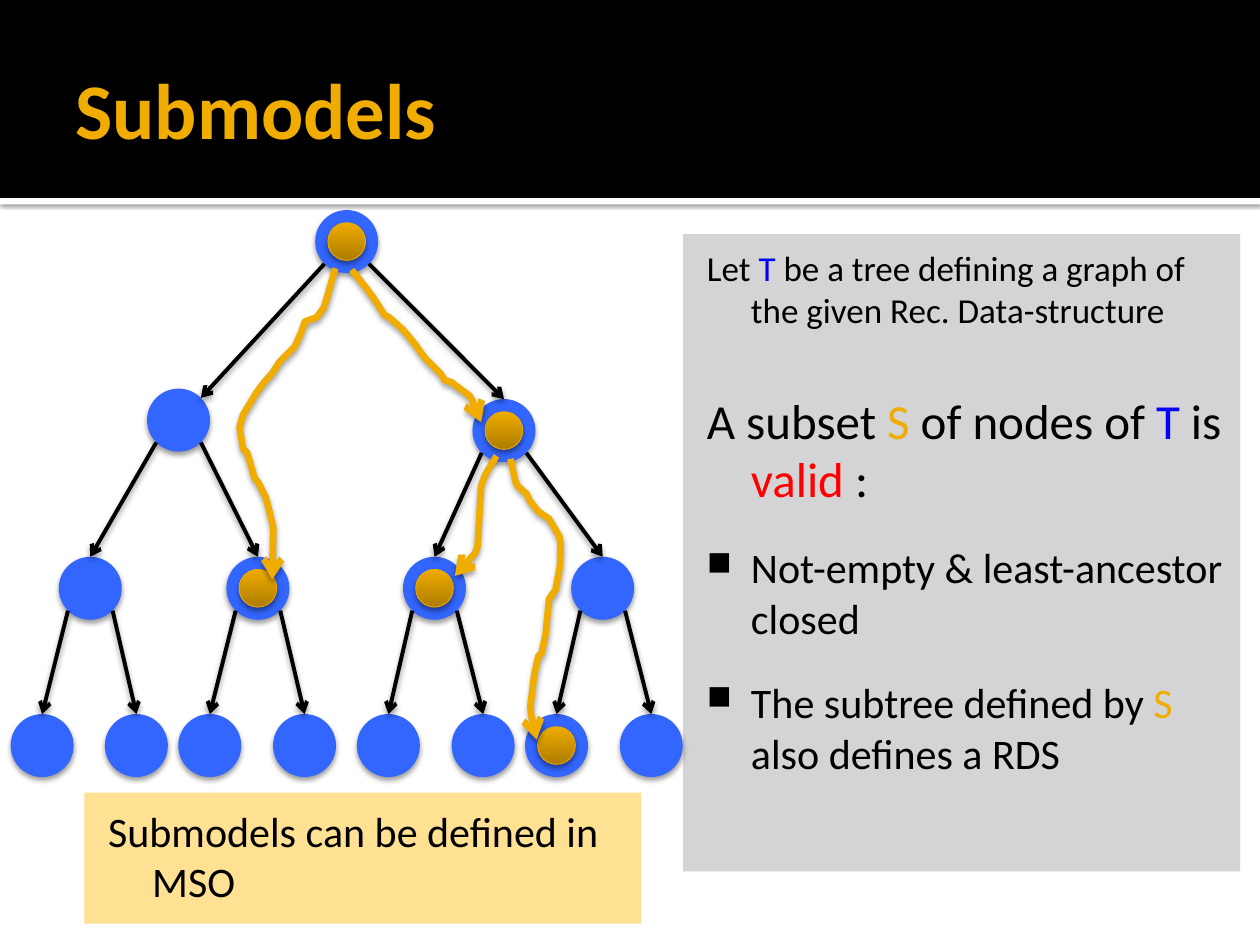
from pptx import Presentation
from pptx.util import Cm, Pt
from pptx.dml.color import RGBColor as RGB
from pptx.enum.shapes import MSO_SHAPE as Shape, MSO_CONNECTOR as Link
from pptx.enum.text import MSO_ANCHOR as Anchor, PP_ALIGN as Align
from pptx.oxml.ns import qn
from lxml.etree import SubElement as Sub

HUE = {"black": "000000", "white": "FFFFFF", "gold": "F0AD00", "blue": "0000FF",
       "red": "FF0000", "node": "3366FF", "grey": "D4D4D6", "cream": "FFE193",
       "dark": "AE7D00", "light": "EEAB00", "rim": "EBA900"}
RGBS = {name: RGB.from_string(code) for name, code in HUE.items()}
FONT = "Calibri"


def shade(item, blur, dist, alpha):
    props = item.element.spPr
    for old in props.findall(qn("a:effectLst")):
        props.remove(old)
    glow = Sub(Sub(props, qn("a:effectLst")), qn("a:outerShdw"), blurRad=str(Pt(blur)),
               dist=str(Pt(dist)), dir="5400000", rotWithShape="0")
    tint = Sub(glow, qn("a:srgbClr"), val=HUE["black"])
    Sub(tint, qn("a:alpha"), val=str(alpha * 1000))


def trace(item, hue, width):
    item.line.color.rgb = RGBS[hue]
    item.line.width = Pt(width)
    Sub(item.element.spPr.find(qn("a:ln")), qn("a:tailEnd"), type="arrow")
    shade(item, 3.5, 2, 38)


deck = Presentation()
deck.slide_width, deck.slide_height = Cm(25.4), Cm(19.05)
slide = deck.slides.add_slide(deck.slide_layouts[5])
shapes = slide.shapes

# Header band and its rule
for hue, top, high in (("white", 3.99, 0.13), ("black", 0, 3.99)):
    band = shapes.add_shape(Shape.RECTANGLE, 0, Cm(top), Cm(25.4), Cm(high))
    band.shadow.inherit = False
    band.fill.solid()
    band.fill.fore_color.rgb = RGBS[hue]
    band.line.fill.background()
    if hue == "white":
        shade(band, 2.5, 0.8, 60)

# Title, in front of the band
title = shapes.title
title.element.getparent().append(title.element)
title.left, title.top, title.width, title.height = Cm(1.27), Cm(0.43), Cm(22.86), Cm(3.48)
frame = title.text_frame
frame.vertical_anchor = Anchor.MIDDLE
frame.margin_left, frame.margin_right = Cm(0.25), Cm(0.13)
para = frame.paragraphs[0]
para.alignment = Align.LEFT
run = para.add_run()
run.text = "Submodels"
run.font.name, run.font.size, run.font.bold = FONT, Pt(45), True
run.font.color.rgb = RGBS["gold"]

# Text panels: place, fill, then (size, space before, bullet, runs)
panels = [
    ((13.77, 4.72, 11.23, 12.85), "grey", [
        (20, 0, False, [("Let ", "black"), ("T ", "blue"),
                        ("be a tree defining a graph of the given Rec. Data-structure", "black")]),
        (28, 34, False, [("A subset ", "black"), ("S ", "gold"), ("of nodes of ", "black"),
                         ("T ", "blue"), ("is ", "black"), ("valid ", "red"), (":", "black")]),
        (24, 19.5, True, [("Not-empty & least-ancestor closed", "black")]),
        (24, 19.5, True, [("The subtree defined by ", "black"), ("S ", "gold"),
                          ("also defines a RDS", "black")])]),
    ((1.7, 15.98, 11.23, 2.64), "cream", [
        (24, 0, False, [("Submodels can be defined in MSO", "black")])]),
]
for place, hue, paras in panels:
    box = shapes.add_textbox(*map(Cm, place))
    box.fill.solid()
    box.fill.fore_color.rgb = RGBS[hue]
    frame = box.text_frame
    frame.word_wrap = True
    frame.margin_left, frame.margin_top = Cm(0.15), Cm(0.25)
    frame.margin_right, frame.margin_bottom = Cm(0.25), Cm(0.13)
    for num, (size, gap, dot, runs) in enumerate(paras):
        para = frame.add_paragraph() if num else frame.paragraphs[0]
        para.space_before = Pt(gap)
        props = para._p.get_or_add_pPr()
        props.set("marL", str(Cm(1.22)))
        props.set("indent", str(Cm(-0.89)))
        if dot:
            Sub(Sub(props, qn("a:buClr")), qn("a:srgbClr"), val=HUE["black"])
            Sub(props, qn("a:buSzPct"), val="80000")
            Sub(props, qn("a:buChar"), char="■")
        for text, tone in runs:
            run = para.add_run()
            run.text = text
            run.font.name, run.font.size = FONT, Pt(size)
            run.font.color.rgb = RGBS[tone]

# Tree nodes by level; the children of i are 2i + 1 and 2i + 2
nodes = [(6.99, 4.87), (3.6, 8.47), (10.16, 8.68)]
nodes += [(x, 11.86) for x in (1.82, 5.2, 8.76, 12.15)]
nodes += [(x, 15.03) for x in (0.85, 2.75, 4.23, 6.14, 7.83, 9.74, 11.22, 13.13)]
chosen = [0, 2, 4, 5, 13]
RAD, DIAG, CORE = 0.635, 0.45, 0.38

for x, y in nodes:
    ball = shapes.add_shape(Shape.OVAL, Cm(x - RAD), Cm(y - RAD), Cm(2 * RAD), Cm(2 * RAD))
    ball.fill.solid()
    ball.fill.fore_color.rgb = RGBS["node"]
    ball.line.fill.background()
    shade(ball, 3.1, 2, 38)

# Tree edges
for kid in range(1, len(nodes)):
    x, y = nodes[(kid - 1) // 2]
    end_x, end_y = nodes[kid]
    side = -DIAG if kid % 2 else DIAG
    tip = (end_x + DIAG, end_y - DIAG) if kid == 1 else (end_x, end_y - RAD)
    edge = shapes.add_connector(Link.STRAIGHT, Cm(x + side), Cm(y + DIAG), *map(Cm, tip))
    trace(edge, "black", 2.25)

# Gold cores of the chosen nodes
for pick in chosen:
    x, y = nodes[pick]
    core = shapes.add_shape(Shape.OVAL, Cm(x - CORE), Cm(y - CORE), Cm(2 * CORE), Cm(2 * CORE))
    core.fill.gradient()
    core.fill.gradient_angle = 90
    for stop, hue in zip(core.fill.gradient_stops, ("dark", "light")):
        stop.color.rgb = RGBS[hue]
    core.line.color.rgb = RGBS["rim"]
    core.line.width = Pt(0.5)
    shade(core, 3.1, 2, 38)

# Winding gold arrows, in hundredths of a centimetre
trails = [
    [(676, 541), (660, 597), (653, 620), (638, 640), (615, 648), (607, 671), (594, 699),
     (572, 721), (564, 729), (549, 752), (533, 770), (518, 790), (498, 823), (490, 836),
     (483, 861), (490, 904), (498, 912), (505, 935), (513, 963), (521, 973), (536, 1003),
     (544, 1034), (551, 1064), (549, 1168)],
    [(709, 544), (737, 579), (754, 602), (775, 635), (785, 640), (813, 665), (836, 693),
     (851, 714), (859, 724), (889, 754), (897, 767), (909, 770), (947, 798), (955, 813),
     (965, 836), (970, 851)],
    [(1029, 925), (1039, 970), (1044, 980), (1062, 996), (1067, 1008), (1085, 1031),
     (1107, 1046), (1128, 1082), (1130, 1097), (1129, 1140), (1120, 1189), (1107, 1207),
     (1100, 1278), (1092, 1316), (1085, 1323), (1077, 1361), (1069, 1425), (1074, 1461),
     (1082, 1491)],
    [(1001, 919), (978, 958), (970, 980), (963, 1100), (958, 1115), (950, 1123),
     (942, 1135), (932, 1138), (925, 1146), (917, 1161)],
]
for start, *rest in trails:
    pen = shapes.build_freeform(*start, scale=Cm(0.01))
    pen.add_line_segments(rest, close=False)
    trail = pen.convert_to_shape()
    trail.fill.background()
    trace(trail, "gold", 3.78)

deck.save("out.pptx")
